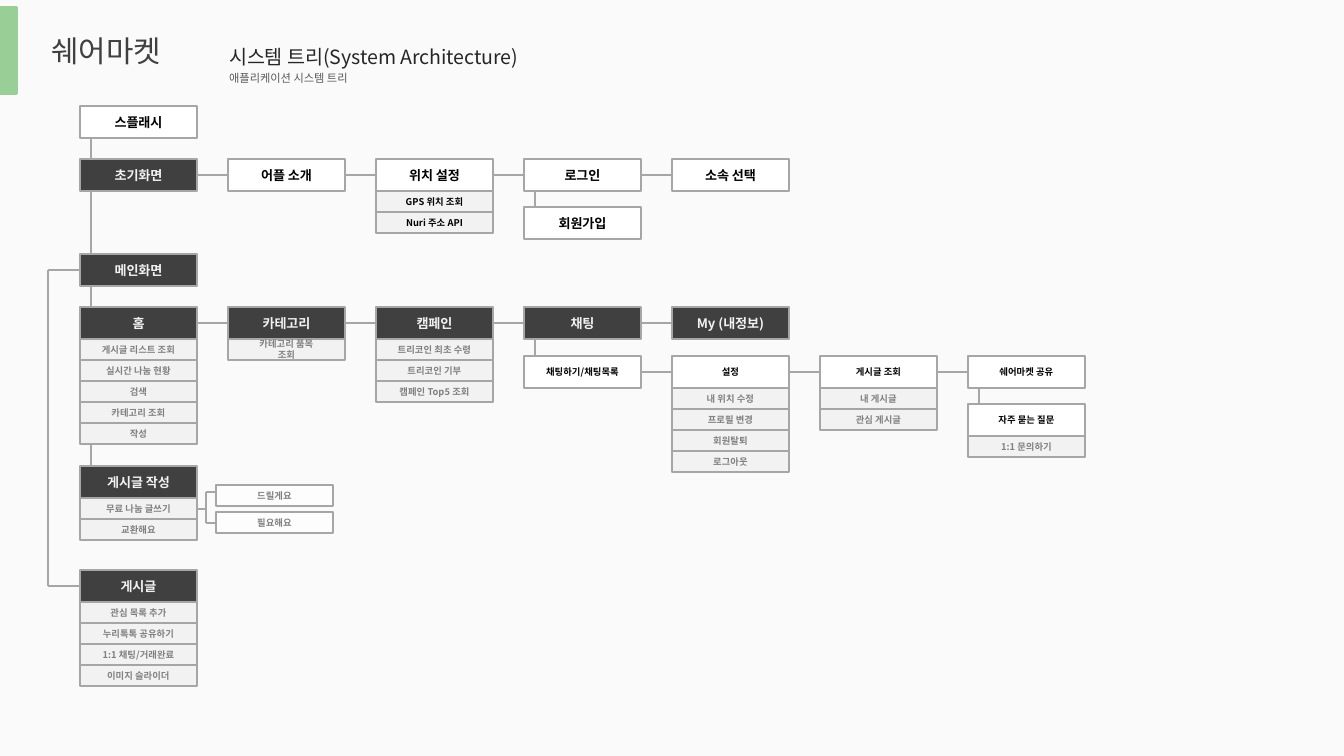
from lxml import etree
from pptx import Presentation
from pptx import util as u
from pptx.dml import color
from pptx.enum import shapes, text
from pptx.oxml import ns

SLIDE_W, SLIDE_H = 1344, 756
SCALE = u.Inches(10) / SLIDE_W
FONT = "Noto Sans CJK KR"
COLORS = {
    "page": "FAFAFA", "accent": "9ACE97", "line": "A6A6A6", "dark": "404040",
    "white": "FFFFFF", "pale": "F2F2F2", "choice": "FDFDFD", "black": "000000",
    "grey": "808080", "heading": "262626", "caption": "595959",
}
STYLES = {
    "menu": ("dark", "pale", 7),
    "screen": ("white", "black", 7),
    "page": ("white", "black", 5),
    "item": ("pale", "grey", 5),
    "service": ("pale", "black", 5),
    "choice": ("choice", "grey", 5),
}
NODE_W, NODE_H, ITEM_H = 117, 32, 21
COLUMN_STEP = 148
TRUNK = 11
MIDDLE = NODE_H // 2


def px(length):
    """Turn px into EMU."""
    return u.Emu(round(length * SCALE))


def rgb(name):
    """Look up a named colour."""
    return color.RGBColor.from_string(COLORS[name])


def write(frame, wording, size, ink, align, bold=False):
    """Fill a text frame and format its runs."""
    frame.text = wording
    frame.word_wrap = True
    for paragraph in frame.paragraphs:
        paragraph.alignment = align
        for run in paragraph.runs:
            run.font.size = u.Pt(size)
            run.font.bold = bold
            run.font.color.rgb = rgb(ink)
            run.font.name = FONT
            east_asian = etree.SubElement(run._r.get_or_add_rPr(), ns.qn("a:ea"))
            east_asian.set("typeface", FONT)


def block(slide, left, top, width, height, fill, outline, weight):
    """Draw a flat outlined rectangle."""
    rect = slide.shapes.add_shape(
        shapes.MSO_SHAPE.RECTANGLE, px(left), px(top), px(width), px(height))
    rect.shadow.inherit = False
    rect.fill.solid()
    rect.fill.fore_color.rgb = rgb(fill)
    rect.line.color.rgb = rgb(outline)
    rect.line.width = u.Pt(weight)
    return rect


def node(slide, left, top, label, style, height=NODE_H):
    """Draw one labelled box of the tree."""
    fill, ink, size = STYLES[style]
    rect = block(slide, left, top, NODE_W, height, fill, "line", 1)
    rect.text_frame.vertical_anchor = text.MSO_ANCHOR.MIDDLE
    write(rect.text_frame, label, size, ink, text.PP_ALIGN.CENTER, True)


def link(slide, x1, y1, x2, y2):
    """Draw a straight tree line."""
    line = slide.shapes.add_connector(
        shapes.MSO_CONNECTOR.STRAIGHT, px(x1), px(y1), px(x2), px(y2))
    line.line.color.rgb = rgb("line")
    line.line.width = u.Pt(0.8)
    etree.SubElement(line._element.spPr, ns.qn("a:effectLst"))


def stack(slide, left, top, label, style, items=(), item_style="item"):
    """Draw a node with its items below and return the bottom edge."""
    node(slide, left, top, label, style)
    for row, item in enumerate(items):
        node(slide, left, top + NODE_H + row * ITEM_H, item, item_style, ITEM_H)
    return top + NODE_H + len(items) * ITEM_H


def chain(slide, left, top, stacks):
    """Draw linked stacks from left to right and return their bottom edges."""
    bottoms = []
    for column, parts in enumerate(stacks):
        x = left + column * COLUMN_STEP
        bottoms.append(stack(slide, x, top, *parts))
        if column:
            link(slide, x - COLUMN_STEP + NODE_W, top + MIDDLE, x, top + MIDDLE)
    return bottoms


def drop(slide, left, top, bottom):
    """Join two levels of one column."""
    link(slide, left + TRUNK, top, left + TRUNK, bottom)


def header(slide, left, top):
    """Place the accent bar, title, heading and caption."""
    block(slide, left, top, 16, 85, "accent", "accent", 2)
    title = slide.shapes.title
    heading = slide.shapes.add_textbox(px(left + 216), px(top + 30), px(413), px(38))
    caption = slide.shapes.add_textbox(px(left + 216), px(top + 57), px(634), px(27))
    title.left, title.top = px(left + 38), px(top + 18)
    title.width, title.height = px(328), px(50)
    for part, wording, size, ink in (
        (title, "쉐어마켓", 16, "dark"),
        (heading, "시스템 트리(System Architecture)", 10.5, "heading"),
        (caption, "애플리케이션 시스템 트리", 6, "caption"),
    ):
        write(part.text_frame, wording, size, ink, text.PP_ALIGN.LEFT)
        part.text_frame.vertical_anchor = text.MSO_ANCHOR.TOP
        part.text_frame.auto_size = text.MSO_AUTO_SIZE.SHAPE_TO_FIT_TEXT


def onboarding(slide, left, top):
    """Draw the splash and start screens and return the bottom of the trunk node."""
    start = top + 53
    drop(slide, left, stack(slide, left, top, "스플래시", "screen"), start)
    bottoms = chain(slide, left, start, [
        ("초기화면", "menu"),
        ("어플 소개", "screen"),
        ("위치 설정", "screen", ["GPS 위치 조회", "Nuri 주소 API"], "service"),
        ("로그인", "screen"),
        ("소속 선택", "screen"),
    ])
    login = left + 3 * COLUMN_STEP
    stack(slide, login, start + 48, "회원가입", "screen")
    drop(slide, login, bottoms[3], start + 48)
    return bottoms[0]


def main_menu(slide, left, top):
    """Draw the main screen with its tabs and return the bottom of the home tab."""
    tabs = top + 53
    drop(slide, left, stack(slide, left, top, "메인화면", "menu"), tabs)
    bottoms = chain(slide, left, tabs, [
        ("홈", "menu",
         ["게시글 리스트 조회", "실시간 나눔 현황", "검색", "카테고리 조회", "작성"]),
        ("카테고리", "menu", ["카테고리 품목\n조회"]),
        ("캠페인", "menu", ["트리코인 최초 수령", "트리코인 기부", "캠페인 Top5 조회"]),
        ("채팅", "menu"),
        ("My (내정보)", "menu"),
    ])
    chat = left + 3 * COLUMN_STEP
    drop(slide, chat, bottoms[3], tabs + 49)
    my_pages(slide, chat, tabs + 49)
    return bottoms[0]


def my_pages(slide, left, top):
    """Draw the chat, settings and sharing pages."""
    bottoms = chain(slide, left, top, [
        ("채팅하기/채팅목록", "page"),
        ("설정", "page", ["내 위치 수정", "프로필 변경", "회원탈퇴", "로그아웃"]),
        ("게시글 조회", "page", ["내 게시글", "관심 게시글"]),
        ("쉐어마켓 공유", "page"),
    ])
    share = left + 3 * COLUMN_STEP
    stack(slide, share, top + 48, "자주 묻는 질문", "page", ["1:1 문의하기"])
    drop(slide, share, bottoms[3], top + 48)


def writing(slide, left, top):
    """Draw the writing screen and its two forked choices."""
    stack(slide, left, top, "게시글 작성", "menu", ["무료 나눔 글쓰기", "교환해요"])
    edge, fork, choices = left + NODE_W, left + 126, left + 136
    for label, box_y, prong_y in (("드릴게요", 19, 26), ("필요해요", 46, 57)):
        node(slide, choices, top + box_y, label, "choice", ITEM_H)
        link(slide, fork, top + prong_y, choices, top + prong_y)
    link(slide, fork, top + 26, fork, top + 57)
    link(slide, edge, top + 43, fork, top + 43)


def posts(slide, left, top, main_top):
    """Draw the post screen and the loop that leads back to the main screen."""
    stack(slide, left, top, "게시글", "menu",
          ["관심 목록 추가", "누리톡톡 공유하기", "1:1 채팅/거래완료", "이미지 슬라이더"])
    loop, upper, lower = left - 32, main_top + MIDDLE, top + MIDDLE
    link(slide, loop, upper, loop, lower)
    for y in (upper, lower):
        link(slide, loop, y, left, y)


def main():
    """Build and save the system tree slide."""
    deck = Presentation()
    deck.slide_width, deck.slide_height = px(SLIDE_W), px(SLIDE_H)
    slide = deck.slides.add_slide(deck.slide_layouts[5])
    slide.background.fill.solid()
    slide.background.fill.fore_color.rgb = rgb("page")
    left, main_top, writing_top = 80, 254, 466
    header(slide, 0, 8)
    drop(slide, left, onboarding(slide, left, 106), main_top)
    drop(slide, left, main_menu(slide, left, main_top), writing_top)
    writing(slide, left, writing_top)
    posts(slide, left, 570, main_top)
    deck.save("out.pptx")


if __name__ == "__main__":
    main()
